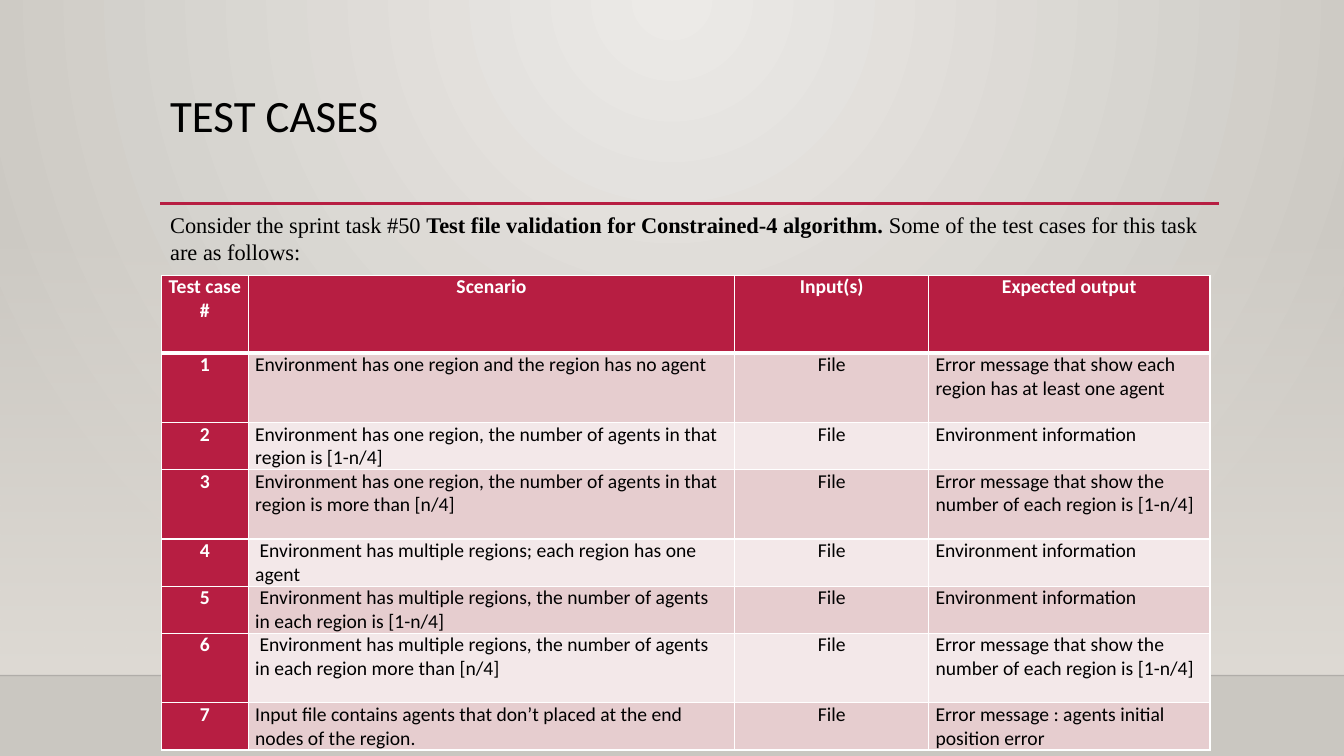
import pptx
import pptx.util
import pptx.dml.color
import pptx.enum.shapes
import pptx.enum.text
import pptx.oxml
import pptx.oxml.ns

Pt = pptx.util.Pt
qn = pptx.oxml.ns.qn
Align = pptx.enum.text.PP_ALIGN
RED, BLACK, WHITE = "B71E42", "000000", "FFFFFF"
BANDS = "E6CDCF", "F3E8E9"


def rgb(text):
    return pptx.dml.color.RGBColor.from_string(text)


def sub(node, tag, **attrs):
    child = node.makeelement(qn(tag), attrs)
    node.append(child)
    return child


class Deck:
    """Holds the style and the current slide, and draws each kind of element."""

    def __init__(self, slide, font="Calibri"):
        self.slide = slide
        self.font = font

    def blend(self, fill, colors, angle=270):
        fill.gradient()
        fill.gradient_angle = angle
        for stop, color in zip(fill.gradient_stops, colors):
            stop.color.rgb = rgb(color)

    def back(self, colors):
        self.blend(self.slide.background.fill, colors)
        grad = next(self.slide._element.iter(qn("a:gradFill")))
        grad.remove(grad.find(qn("a:lin")))
        ring = sub(grad, "a:path", path="circle")
        sub(ring, "a:fillToRect", l="43000", t="0", r="43000", b="100000")

    def fade(self, left, top, width, height, color):
        kind = pptx.enum.shapes.MSO_SHAPE.RECTANGLE
        shape = self.slide.shapes.add_shape(kind, Pt(left), Pt(top), Pt(width), Pt(height))
        shape.shadow.inherit = False
        shape.line.fill.background()
        self.blend(shape.fill, (color, color))
        sub(next(shape._element.spPr.iter(qn("a:srgbClr"))), "a:alpha", val="0")

    def rule(self, left, right, top, color, width, alpha=100):
        kind = pptx.enum.shapes.MSO_CONNECTOR.STRAIGHT
        line = self.slide.shapes.add_connector(kind, Pt(left), Pt(top), Pt(right), Pt(top))
        line.line.color.rgb = rgb(color)
        line.line.width = Pt(width)
        props = line._element.spPr
        sub(next(props.iter(qn("a:srgbClr"))), "a:alpha", val=str(alpha * 1000))
        sub(props, "a:effectLst")

    def style(self, run, size, color=BLACK, bold=False, font=None):
        run.font.name = font or self.font
        run.font.size = Pt(size)
        run.font.bold = bold
        run.font.color.rgb = rgb(color)

    def text(self, left, top, width, height, parts, size, font=None, space=1.0):
        box = self.slide.shapes.add_textbox(Pt(left), Pt(top), Pt(width), Pt(height))
        box.text_frame.word_wrap = True
        para = box.text_frame.paragraphs[0]
        para.line_spacing = space
        for words, bold in parts:
            run = para.add_run()
            run.text = words
            self.style(run, size, bold=bold, font=font)

    def edge(self, cell, side, width):
        line = sub(cell._tc.get_or_add_tcPr(), "a:ln" + side, w=str(Pt(width)))
        sub(sub(line, "a:solidFill"), "a:srgbClr", val=WHITE)

    def cell(self, cell, words, fill, strong, center, sides):
        cell.margin_left = cell.margin_right = Pt(5)
        cell.margin_top = cell.margin_bottom = 0
        for side, width in sides.items():
            self.edge(cell, side, width)
        cell.fill.solid()
        cell.fill.fore_color.rgb = rgb(fill)
        cell.text_frame.text = words
        for para in cell.text_frame.paragraphs:
            para.alignment = Align.CENTER if center else Align.LEFT
            for run in para.runs:
                self.style(run, 14, WHITE if strong else BLACK, strong)

    def table(self, left, top, cols, highs, rows):
        frame = self.slide.shapes.add_table(
            len(rows), len(cols), Pt(left), Pt(top), Pt(sum(cols)), Pt(sum(highs)))
        grid = frame.table
        for col, width in zip(grid.columns, cols):
            col.width = Pt(width)
        for row, high in zip(grid.rows, highs):
            row.height = Pt(high)
        for r, row in enumerate(rows):
            sides = {"L": 1, "R": 1, "T": 3 if r == 1 else 1, "B": 1 if r else 3}
            for c, words in enumerate(row):
                strong = r == 0 or c == 0
                fill = RED if strong else BANDS[(r - 1) % 2]
                self.cell(grid.cell(r, c), words, fill, strong, strong or c == 2, sides)


INFO = "Environment information"
LIMIT = "Error message that show the number of each region is [1-n/4]"
ONE = "Environment has one region"
MANY = " Environment has multiple regions"
CASES = [
    (ONE + " and the region has no agent",
     "Error message that show each region has at least one agent"),
    (ONE + ", the number of agents in that region is [1-n/4]", INFO),
    (ONE + ", the number of agents in that region is more than [n/4]", LIMIT),
    (MANY + "; each region has one agent", INFO),
    (MANY + ", the number of agents in each region is [1-n/4]", INFO),
    (MANY + ", the number of agents in each region more than [n/4]", LIMIT),
    ("Input file contains agents that don’t placed at the end nodes of the region.",
     "Error message : agents initial position error"),
]
HEAD = ("Test case\n#", "Scenario", "Input(s)", "Expected output")
ROWS = [HEAD] + [(str(n), case, "File", result)
                 for n, (case, result) in enumerate(CASES, 1)]
LOW, HIGH = 33.3, 49.7

prs = pptx.Presentation()
prs.slide_width, prs.slide_height = Pt(960), Pt(540)
deck = Deck(prs.slides.add_slide(prs.slide_layouts[6]))
deck.back(("ECEAE7", "CAC7C1"))
deck.fade(0, 159, 960, 323.5, "DFDBD5")
deck.rule(0, 960, 482.5, "000001", 1, 20)
deck.rule(114.5, 871, 145.3, RED, 2.5)
deck.text(114.5, 63.4, 756, 82, [("TEST CASES", False)], 32, space=0.9)
deck.text(114.5, 147.5, 751, 44, [
    ("Consider the sprint task #50 ", False),
    ("Test file validation for Constrained-4 algorithm.", True),
    (" Some of the test cases for this task are as follows:", False),
], 16, "Times New Roman")
deck.table(115.4, 196.6, (61.9, 347.6, 138.4, 201),
           (55.4, HIGH, LOW, HIGH, LOW, LOW, HIGH, LOW), ROWS)
prs.save("out.pptx")
